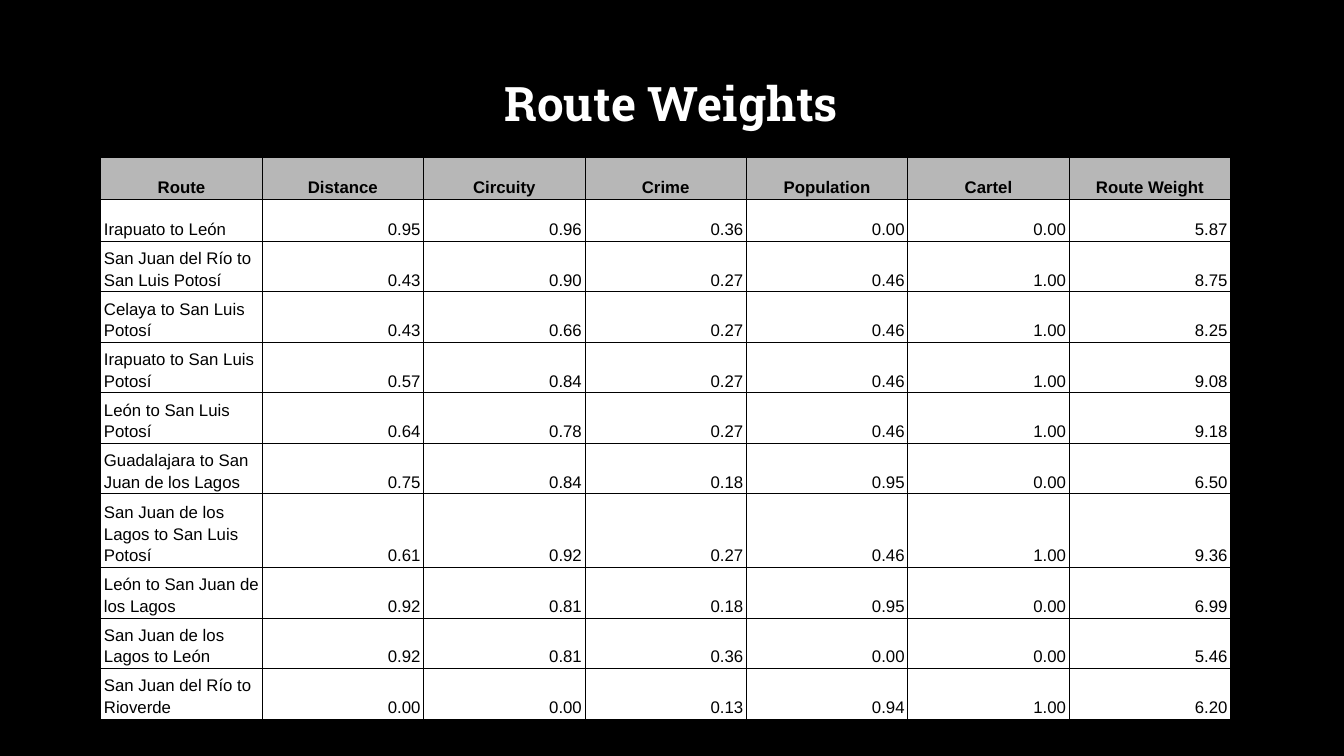
import pptx
import pptx.dml.color
import pptx.enum.text
import pptx.oxml
import pptx.oxml.ns
import pptx.util

Pt = pptx.util.Pt
RGB = pptx.dml.color.RGBColor.from_string
ALIGN = pptx.enum.text.PP_ALIGN
ANCHOR = pptx.enum.text.MSO_ANCHOR
COLORS = {"black": "000000", "white": "FFFFFF", "header": "B7B7B7"}

HEADINGS = ["Route", "Distance", "Circuity", "Crime", "Population", "Cartel", "Route Weight"]
ROUTES = [
    ("Irapuato to León", 0.95, 0.96, 0.36, 0, 0, 5.87),
    ("San Juan del Río to San Luis Potosí", 0.43, 0.90, 0.27, 0.46, 1, 8.75),
    ("Celaya to San Luis Potosí", 0.43, 0.66, 0.27, 0.46, 1, 8.25),
    ("Irapuato to San Luis Potosí", 0.57, 0.84, 0.27, 0.46, 1, 9.08),
    ("León to San Luis Potosí", 0.64, 0.78, 0.27, 0.46, 1, 9.18),
    ("Guadalajara to San Juan de los Lagos", 0.75, 0.84, 0.18, 0.95, 0, 6.50),
    ("San Juan de los Lagos to San Luis Potosí", 0.61, 0.92, 0.27, 0.46, 1, 9.36),
    ("León to San Juan de los Lagos", 0.92, 0.81, 0.18, 0.95, 0, 6.99),
    ("San Juan de los Lagos to León", 0.92, 0.81, 0.36, 0, 0, 5.46),
    ("San Juan del Río to Rioverde", 0, 0, 0.13, 0.94, 1, 6.20),
]


def style_paragraph(paragraph, font_name, size, color, bold, align, spacing):
    paragraph.alignment = align
    paragraph.line_spacing = spacing
    font = paragraph.runs[0].font
    font.name = font_name
    font.size = Pt(size)
    font.bold = bold
    font.color.rgb = RGB(COLORS[color])


def add_borders(cell, color, width):
    """Draw a solid line on all four sides; call before filling the cell."""
    properties = cell._tc.get_or_add_tcPr()
    for side in ("lnL", "lnR", "lnT", "lnB"):
        properties.append(pptx.oxml.parse_xml(
            f'<a:{side} {pptx.oxml.ns.nsdecls("a")} w="{Pt(width)}">'
            f'<a:solidFill><a:srgbClr val="{COLORS[color]}"/></a:solidFill></a:{side}>'))


deck = pptx.Presentation()
deck.slide_width, deck.slide_height = Pt(960), Pt(540)
slide = deck.slides.add_slide(deck.slide_layouts[6])
slide.background.fill.solid()
slide.background.fill.fore_color.rgb = RGB(COLORS["black"])

# Title
title = slide.shapes.add_textbox(Pt(72), Pt(23.8), Pt(815), Pt(104.4)).text_frame
title.word_wrap = True
title.vertical_anchor = ANCHOR.MIDDLE
title.text = "Route Weights"
style_paragraph(title.paragraphs[0], "Roboto Slab", 34, "white", True, ALIGN.CENTER, 0.9)

# Route table
rows = [HEADINGS] + [[name] + [f"{value:.2f}" for value in values] for name, *values in ROUTES]
table_frame = slide.shapes.add_table(
    len(rows), len(HEADINGS), Pt(72), Pt(112.3), Pt(807.1), Pt(388.8))
weights = table_frame.table
weights.first_row = False
weights.horz_banding = False
for column in weights.columns:
    column.width = Pt(115.3)

for row_index, row in enumerate(rows):
    weights.rows[row_index].height = Pt(30 if row_index < 6 else 30.6)
    is_header = row_index == 0
    for column_index, label in enumerate(row):
        cell = weights.cell(row_index, column_index)
        add_borders(cell, "black", 0.75)
        cell.fill.solid()
        cell.fill.fore_color.rgb = RGB(COLORS["header" if is_header else "white"])
        cell.margin_left = cell.margin_right = Pt(2.25)
        cell.margin_top = cell.margin_bottom = Pt(1.5)
        cell.vertical_anchor = ANCHOR.BOTTOM
        cell.text_frame.text = label
        if is_header:
            align = ALIGN.CENTER
        else:
            align = ALIGN.RIGHT if column_index else ALIGN.LEFT
        style_paragraph(cell.text_frame.paragraphs[0], "Arial", 12, "black", is_header, align, 1.15)

deck.save("out.pptx")
